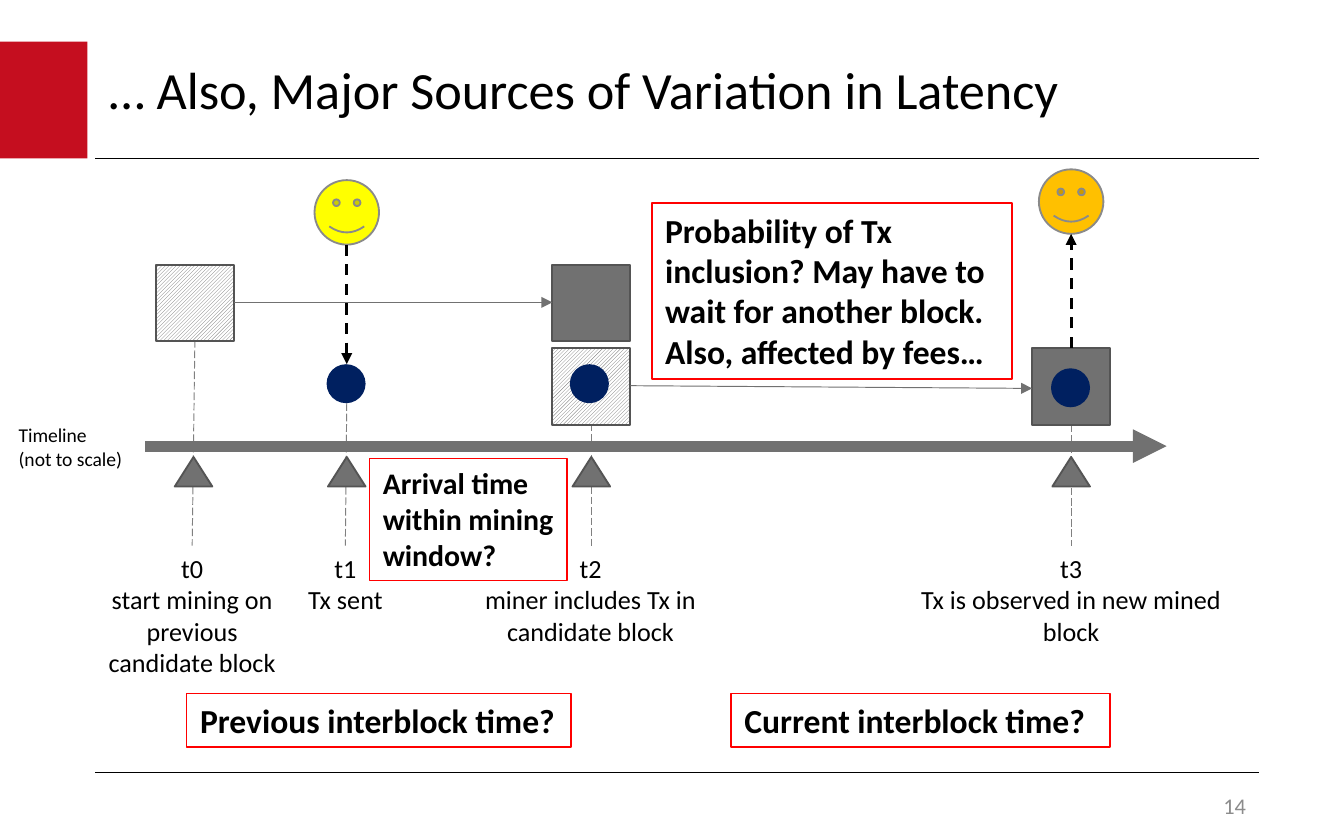
import pptx
import pptx.util
import pptx.dml.color
import pptx.enum.dml
import pptx.enum.shapes
import pptx.enum.text
import pptx.oxml.ns
import lxml.etree

Inches = pptx.util.Inches
RGBColor = pptx.dml.color.RGBColor
SHAPE = pptx.enum.shapes.MSO_SHAPE
ALIGN = pptx.enum.text.PP_ALIGN
ANCHOR = pptx.enum.text.MSO_ANCHOR
DASH = pptx.enum.dml.MSO_LINE

BLACK = RGBColor(0x00, 0x00, 0x00)
WHITE = RGBColor(0xFF, 0xFF, 0xFF)
CRIMSON = RGBColor(0xC5, 0x0E, 0x1F)
RED = RGBColor(0xFF, 0x00, 0x00)
NAVY = RGBColor(0x00, 0x20, 0x60)
YELLOW = RGBColor(0xFF, 0xFF, 0x00)
ORANGE = RGBColor(0xFF, 0xC0, 0x00)
GRAY = RGBColor(0x71, 0x71, 0x71)
EDGE = RGBColor(0x54, 0x54, 0x54)
GUIDE = RGBColor(0x80, 0x80, 0x80)
PALE = RGBColor(0x8A, 0x8A, 0x8A)
NUMBER = RGBColor(0x8C, 0x8C, 0x8C)
HATCH = "hatch"

TITLE = "… Also, Major Sources of Variation in Latency"
RULES = [1.18, 5.75]
GUIDES = [(4.4, 3.15, 4.4), (2.58, 3, 2.57), (7.97, 3.16, 7.97), (1.45, 2.53, 1.43)]
BLOCKS = [(1.16, 1.97, HATCH), (4.11, 1.97, GRAY), (4.11, 2.59, HATCH), (7.68, 2.59, GRAY)]
TRANSACTIONS = [(2.43, 2.71), (4.24, 2.71), (7.82, 2.74)]
MARKERS = [1.3, 2.44, 4.26, 7.83]
FACES = [(2.34, 1.34, YELLOW), (7.73, 1.26, ORANGE)]
MESSAGES = [(2.58, 1.82, 2.58, 2.71), (7.97, 2.59, 7.97, 1.74)]
MINING = [(1.74, 2.25, 4.11, 2.25), (4.69, 2.87, 7.68, 2.89)]
MOMENTS = [
    (0.7, 1.46, 1.05, ["t0\nstart mining on previous candidate block"]),
    (2.13, 0.88, 0.57, ["t1", "Tx sent"]),
    (3.36, 2.07, 0.81, ["t2", "miner includes Tx in candidate block"]),
    (6.75, 2.44, 0.81, ["t3", "Tx is observed in new mined block"]),
]
QUESTIONS = [
    ((4.85, 1.51, 2.68, 1.31), 18,
     "Probability of Tx\ninclusion? May have to\nwait for another block.\nAlso, affected by fees…"),
    ((2.75, 3.41, 1.47, 0.91), 16, "Arrival time\nwithin mining\nwindow?"),
    ((1.39, 5.16, 2.86, 0.4), 18, "Previous interblock time?"),
    ((5.44, 5.16, 2.82, 0.4), 18, "Current interblock time?"),
]

deck = pptx.Presentation()
deck.slide_width, deck.slide_height = Inches(10), Inches(6.25)
page = deck.slides.add_slide(deck.slide_layouts[5])


def apply(target, values):
    for name, value in values.items():
        setattr(target, name, value)


def write(box, paragraphs, size, color=BLACK, bold=False, frame=None, **layout):
    apply(box.text_frame, {"word_wrap": True, **(frame or {})})
    for index, text in enumerate(paragraphs):
        para = box.text_frame.paragraphs[0] if index == 0 else box.text_frame.add_paragraph()
        para.text = text
        apply(para, layout)
        for span in para.runs:
            apply(span.font, {"name": "Calibri", "size": pptx.util.Pt(size), "bold": bold})
            span.font.color.rgb = color


def add_text(place, paragraphs, size, **style):
    box = page.shapes.add_textbox(*map(Inches, place))
    write(box, paragraphs, size, **style)
    return box


def add_shape(kind, place, fill, edge=None):
    shape = page.shapes.add_shape(kind, *map(Inches, place))
    shape.shadow.inherit = False
    if fill == HATCH:
        shape.fill.patterned()
        shape.fill.pattern = pptx.enum.dml.MSO_PATTERN.LIGHT_UPWARD_DIAGONAL
        shape.fill.fore_color.rgb, shape.fill.back_color.rgb = GRAY, WHITE
    else:
        shape.fill.solid()
        shape.fill.fore_color.rgb = fill
    if edge is None:
        shape.line.fill.background()
    else:
        shape.line.color.rgb = edge
        shape.line.width = pptx.util.Pt(1)


def add_line(ends, color, width, dash=None, arrow=False):
    line = page.shapes.add_connector(
        pptx.enum.shapes.MSO_CONNECTOR.STRAIGHT, *map(Inches, ends))
    line.line.color.rgb = color
    apply(line.line, {"width": pptx.util.Pt(width), "dash_style": dash})
    if arrow:
        lxml.etree.SubElement(
            line.line._get_or_add_ln(), pptx.oxml.ns.qn("a:tailEnd"), type="triangle")
    lxml.etree.SubElement(line._element.spPr, pptx.oxml.ns.qn("a:effectLst"))


add_shape(SHAPE.RECTANGLE, (0, 0.31, 0.65, 0.87), CRIMSON)
for y in RULES:
    add_line((0.71, y, 9.37, y), BLACK, 0.75)

title = page.shapes.title
apply(title, dict(zip(("left", "top", "width", "height"), map(Inches, (0.71, 0.33, 8.66, 0.71)))))
write(title, [TITLE], 28, frame={"vertical_anchor": ANCHOR.MIDDLE},
      alignment=ALIGN.LEFT, line_spacing=0.9)
add_text((7.34, 5.87, 2.03, 0.25), ["14"], 12, color=NUMBER,
         frame={"vertical_anchor": ANCHOR.MIDDLE}, alignment=ALIGN.RIGHT)

for x, top, foot in GUIDES:
    add_line((x, top, foot, 4.06), GUIDE, 0.5, DASH.LONG_DASH)
add_line((1.08, 3.32, 8.68, 3.32), GRAY, 6, arrow=True)
for x, y, fill in BLOCKS:
    add_shape(SHAPE.RECTANGLE, (x, y, 0.58, 0.57), fill, EDGE)
for x, y in TRANSACTIONS:
    add_shape(SHAPE.OVAL, (x, y, 0.29, 0.29), NAVY)
for x in MARKERS:
    add_shape(SHAPE.ISOSCELES_TRIANGLE, (x, 3.4, 0.28, 0.22), GRAY, EDGE)
for x, y, fill in FACES:
    add_shape(SHAPE.SMILEY_FACE, (x, y, 0.48, 0.48), fill, PALE)
for ends in MESSAGES:
    add_line(ends, BLACK, 1.5, DASH.DASH, arrow=True)

for left, width, height, paragraphs in MOMENTS:
    add_text((left, 4.06, width, height), paragraphs, 14, alignment=ALIGN.CENTER)
add_text((0.04, 3.1, 0.98, 0.45), ["Timeline", "(not to scale)"], 10.5)
for place, size, text in QUESTIONS:
    question = add_text(place, [text], size, bold=True, frame={"margin_right": Inches(0.05)})
    question.line.color.rgb = RED
    question.line.width = pptx.util.Pt(0.75)
for ends in MINING:
    add_line(ends, GRAY, 0.5, arrow=True)

deck.save("out.pptx")
